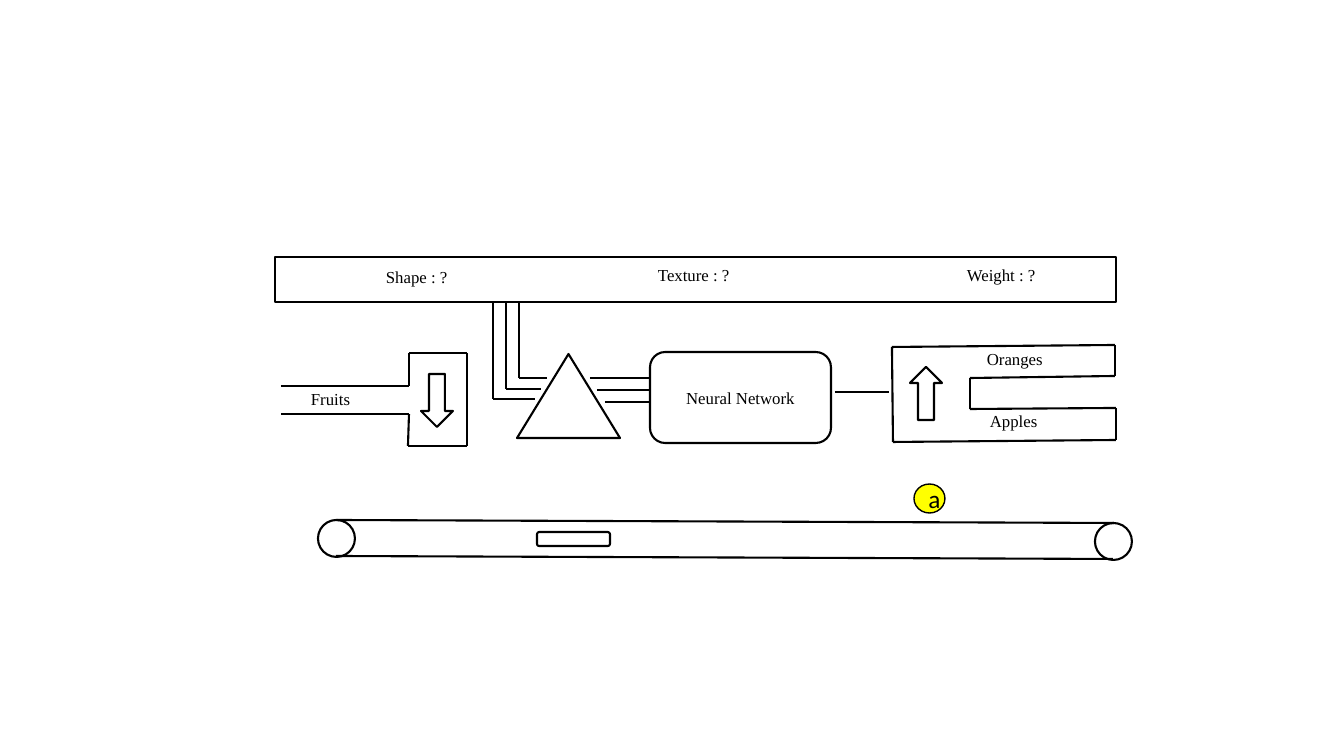
from itertools import pairwise

from lxml import etree
from pptx import Presentation
from pptx import util as u
from pptx.dml.color import RGBColor
from pptx.enum import shapes, text
from pptx.oxml.ns import qn

SCALE = 914400 / 100.8  # EMU per pixel
COLORS = {"ink": "000000", "paper": "FFFFFF", "fruit": "FFFF00"}
SERIF = "Times New Roman"
KIND = shapes.MSO_SHAPE


def emu(pixels):
    return u.Emu(round(pixels * SCALE))


def rgb(name):
    return RGBColor.from_string(COLORS[name])


def write(frame, wording, font=SERIF, size=12, align=text.PP_ALIGN.LEFT,
          anchor=text.MSO_ANCHOR.TOP):
    frame.word_wrap = True
    frame.vertical_anchor = anchor
    paragraph = frame.paragraphs[0]
    paragraph.alignment = align
    run = paragraph.add_run()
    run.text = wording
    run.font.name, run.font.size = font, u.Pt(size)
    run.font.color.rgb = rgb("ink")


def add_label(slide, box, wording):
    write(slide.shapes.add_textbox(*map(emu, box)).text_frame, wording)


def add_part(slide, kind, box, fill="paper", weight=1.5, rotation=0):
    shape = slide.shapes.add_shape(kind, *map(emu, box))
    shape.shadow.inherit = False
    shape.rotation = rotation
    shape.fill.solid()
    shape.fill.fore_color.rgb = rgb(fill)
    shape.line.color.rgb = rgb("ink")
    shape.line.width = u.Pt(weight)
    return shape


def add_lines(slide, origin, points):
    """Join consecutive points, given relative to the origin."""
    left, top = origin
    for (x1, y1), (x2, y2) in pairwise(points):
        line = slide.shapes.add_connector(
            shapes.MSO_CONNECTOR.STRAIGHT,
            emu(left + x1), emu(top + y1), emu(left + x2), emu(top + y2))
        line.line.color.rgb = rgb("ink")
        line.line.width = u.Pt(1.5)
        etree.SubElement(line._element.spPr, qn("a:effectLst"))


def draw_readings(slide, box):
    left, top, width, height = box
    add_part(slide, KIND.RECTANGLE, box)
    for x, y, wording in [(101, 5, "Shape : ?"), (373, 3, "Texture : ?"),
                          (682, 3, "Weight : ?")]:
        add_label(slide, (left + x, top + y, 98, 30), wording)


def draw_intake(slide, box):
    left, top, width, height = box
    chute = width - 58
    add_lines(slide, (left, top), [
        (0, 33), (chute, 33), (chute, 0), (width, 0), (width, height),
        (chute - 1, height), (chute, 61), (0, 61)])
    add_part(slide, KIND.DOWN_ARROW, (left + 140, top + 21, 32, 53))
    add_label(slide, (left + 20, top + 31, 83, 30), "Fruits")


def draw_sensor(slide, box):
    left, top, width, height = box
    # Wires up to the readings: x, y and where each meets the sensor
    for x, y, end in [(2, 24, 30), (-11, 35, 24), (-24, 45, 18)]:
        add_lines(slide, (left, top), [(x, -52), (x, y), (end, y)])
    # Wires on to the network
    for start, y in [(73, 24), (80, 36), (88, 48)]:
        add_lines(slide, (left, top), [(start, y), (133, y)])
    add_part(slide, KIND.ISOSCELES_TRIANGLE, box)


def draw_network(slide, box):
    left, top, width, height = box
    network = add_part(slide, KIND.FLOWCHART_ALTERNATE_PROCESS, box)
    write(network.text_frame, "Neural Network", align=text.PP_ALIGN.CENTER,
          anchor=text.MSO_ANCHOR.MIDDLE)
    add_lines(slide, (left + width, top), [(4, 40), (58, 40)])


def draw_sorter(slide, box):
    left, top, width, height = box
    add_lines(slide, (left, top), [
        (0, 2), (width - 1, 0), (width - 1, 31), (78, 33), (78, 64),
        (width, 63), (width, height - 2), (1, height), (0, 2)])
    add_part(slide, KIND.DOWN_ARROW, (left + 18, top + 22, 32, 53), rotation=180)
    add_label(slide, (left + 85, top - 1, 137, 30), "Oranges")
    add_label(slide, (left + 88, top + 61, 137, 30), "Apples")


def draw_conveyor(slide, box):
    left, top, width, height = box
    wheel, drop = 37, height - 37
    run = width - wheel
    for x, y in [(0, 0), (run, drop)]:
        add_part(slide, KIND.OVAL, (left + x, top + y, wheel, wheel))
    for x, y in [(19, 0), (18, 36)]:
        add_lines(slide, (left, top), [(x, y), (x + run, y + drop)])
    add_part(slide, KIND.ROUNDED_RECTANGLE, (left + 219, top + 12, 73, 14))
    # Fruit above the belt
    fruit = add_part(slide, KIND.OVAL, (left + 596, top - 36, 31, 29),
                     fill="fruit", weight=1)
    write(fruit.text_frame, "a", font="Calibri", size=18,
          align=text.PP_ALIGN.CENTER, anchor=text.MSO_ANCHOR.MIDDLE)


presentation = Presentation()
presentation.slide_width, presentation.slide_height = emu(1344), emu(756)
slide = presentation.slides.add_slide(presentation.slide_layouts[6])

draw_readings(slide, (275, 257, 841, 45))
draw_intake(slide, (281, 353, 186, 93))
draw_sensor(slide, (517, 354, 103, 84))
draw_network(slide, (650, 352, 181, 91))
draw_sorter(slide, (892, 345, 224, 97))
draw_conveyor(slide, (318, 520, 814, 40))

presentation.save("out.pptx")
